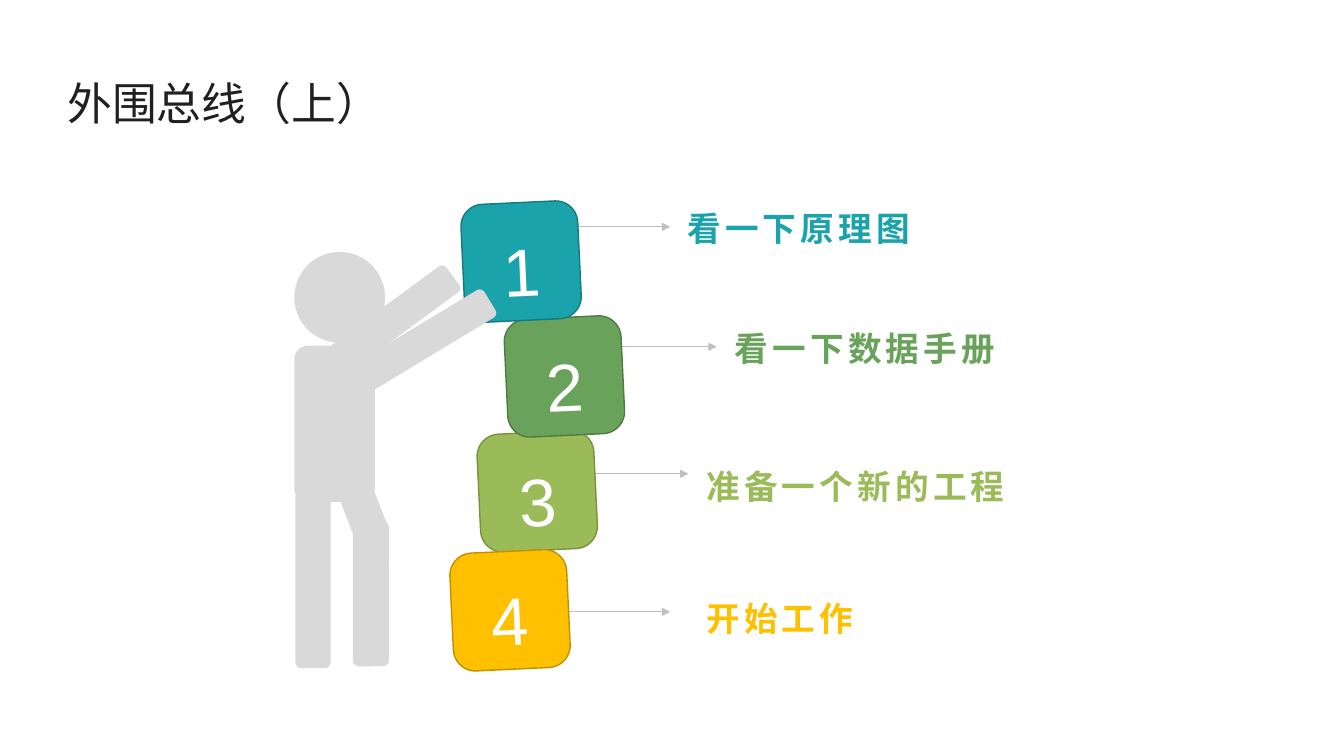
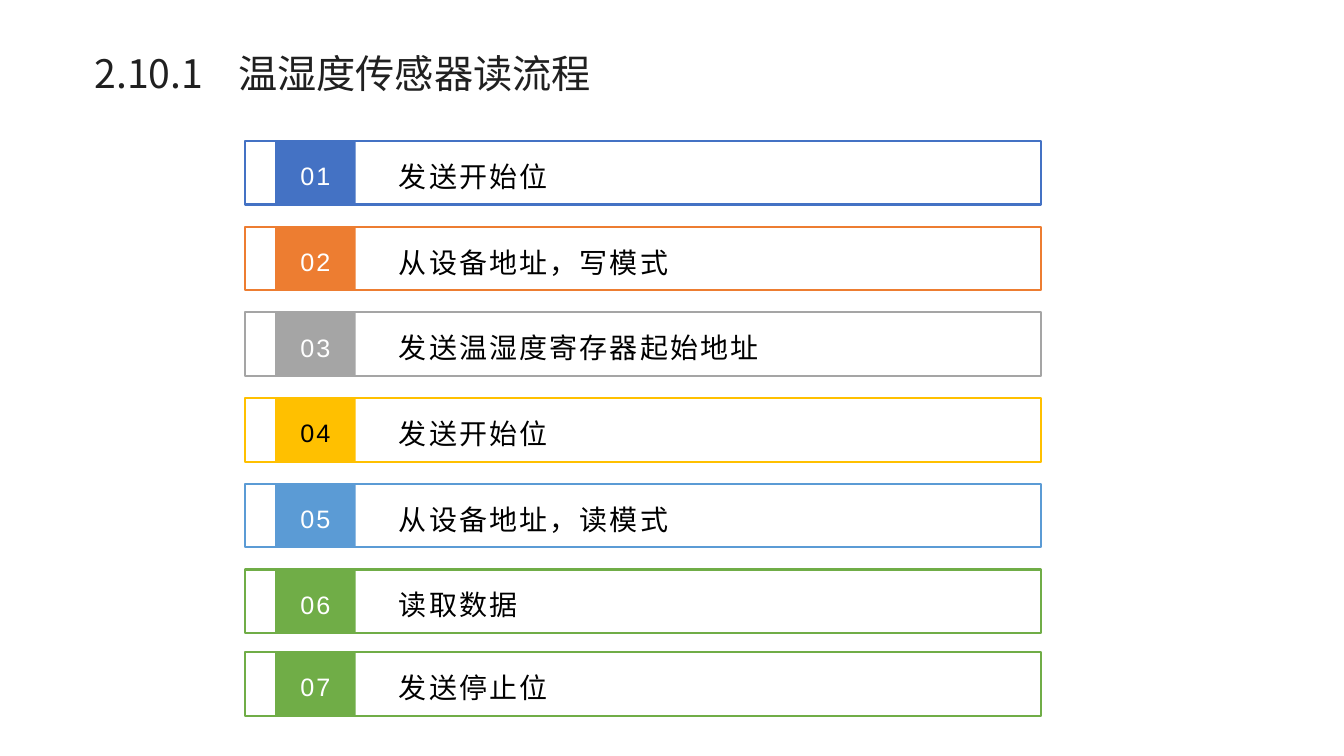
import dataclasses

import lxml.etree
import pptx
import pptx.dml.color
import pptx.enum.shapes
import pptx.enum.text
import pptx.oxml.ns
import pptx.util

SLIDE_WIDTH = pptx.util.Emu(12192000)
SLIDE_HEIGHT = pptx.util.Inches(7.5)
COLUMN = SLIDE_WIDTH / 40
ROW = SLIDE_HEIGHT / 30

COLORS = {
    "title": "202020",
    "black": "000000",
    "white": "FFFFFF",
    "figure": "D9D9D9",
    "arrow": "BFBFBF",
    "teal": "1AA3AA",
    "teal edge": "147A7F",
    "forest": "69A35B",
    "forest edge": "4F7A44",
    "olive": "9BBB59",
    "olive edge": "77933C",
    "gold": "FFC000",
    "gold edge": "BF9000",
    "blue": "4472C4",
    "orange": "ED7D31",
    "gray": "A5A5A5",
    "sky": "5B9BD5",
    "green": "70AD47",
}
CJK_FONT = "Noto Sans CJK SC"
SHAPES = pptx.enum.shapes.MSO_SHAPE
ANCHORS = pptx.enum.text.MSO_ANCHOR
ALIGNMENTS = pptx.enum.text.PP_ALIGN


@dataclasses.dataclass(frozen=True)
class TextStyle:
    size: float
    font: str = "Arial"
    bold: bool = False
    letter_spacing: float = 0
    line_spacing: float = 1.2
    space_before: float = 0
    alignment: int = ALIGNMENTS.LEFT
    anchor: int = ANCHORS.MIDDLE


TITLE = TextStyle(32, font=CJK_FONT, line_spacing=0.9, space_before=10)
SECTION_TITLE = dataclasses.replace(TITLE, size=28)
BLOCK_NUMBER = TextStyle(48, alignment=ALIGNMENTS.CENTER)
BLOCK_LABEL = TextStyle(24, bold=True, letter_spacing=3, anchor=ANCHORS.BOTTOM)
STEP_NUMBER = TextStyle(18, letter_spacing=1.5, alignment=ALIGNMENTS.CENTER)
STEP_TEXT = TextStyle(20, letter_spacing=1.5)

# Figure parts: preset, left, top, width, height, rotation, corner
BODY_PARTS = [
    (SHAPES.ROUNDED_RECTANGLE, 8.76, 13.72, 2.4, 6.2, 0, None),
    (SHAPES.ROUNDED_RECTANGLE, 8.79, 19.48, 1.05, 7.04, 0, None),
    (SHAPES.ROUNDED_RECTANGLE, 10.32, 19.36, 1.05, 2.12, 338.6, 0.3),
    (SHAPES.ROUNDED_RECTANGLE, 10.5, 20.68, 1.08, 5.76, 0, None),
    (SHAPES.ROUNDED_RECTANGLE, 11.16, 9.72, 0.96, 6.08, 53.7, None),
    (SHAPES.OVAL, 8.76, 10, 2.7, 3.6, 0, None),
]
FRONT_ARM = (SHAPES.ROUNDED_RECTANGLE, 12.15, 10.48, 0.96, 6.08, 58.9, None)

# Blocks from back to front: number, label, color,
# block (left, top), arrow (left, top), label (left, top, height)
BLOCKS = [
    ("3", "准备一个新的工程", "olive", (14.25, 17.16), (17.4, 18.8), (20.73, 18, 2.08)),
    ("2", "看一下数据手册", "forest", (15.06, 12.6), (18.24, 13.76), (21.57, 12.96, 1.64)),
    ("1", "看一下原理图", "teal", (13.77, 8.04), (16.86, 9), (20.16, 8.2, 1.64)),
    ("4", "开始工作", "gold", (13.44, 21.88), (16.86, 24.28), (20.73, 23.12, 2.2)),
]
ARROW_LENGTH = 3.09
LABEL_WIDTH = 10.62

STEPS = [
    ("发送开始位", "blue", "white"),
    ("从设备地址，写模式", "orange", "white"),
    ("发送温湿度寄存器起始地址", "gray", "white"),
    ("发送开始位", "gold", "black"),
    ("从设备地址，读模式", "sky", "white"),
    ("读取数据", "green", "white"),
    ("发送停止位", "green", "white"),
]
FIRST_STEP_TOP, STEP_PITCH, LOWEST_STEP_TOP = 5.6, 3.4, 25.88
STEP_HEIGHT = 2.52


def rgb(color):
    return pptx.dml.color.RGBColor.from_string(COLORS[color])


def place(left, top, width, height):
    """Turn grid columns and rows into slide lengths."""
    return (round(left * COLUMN), round(top * ROW),
            round(width * COLUMN), round(height * ROW))


def add_child(parent, tag, **attributes):
    return lxml.etree.SubElement(parent, pptx.oxml.ns.qn(tag), attributes)


def write_text(shape, text, style, color):
    frame = shape.text_frame
    frame.word_wrap = True
    frame.vertical_anchor = style.anchor
    paragraph = frame.paragraphs[0]
    paragraph.alignment = style.alignment
    paragraph.line_spacing = style.line_spacing
    paragraph.space_before = pptx.util.Pt(style.space_before)
    run = paragraph.add_run()
    run.text = text
    run.font.size = pptx.util.Pt(style.size)
    run.font.bold = style.bold
    run.font.color.rgb = rgb(color)
    run.font.name = style.font
    properties = run.font._element
    properties.set("spc", str(round(style.letter_spacing * 100)))
    add_child(properties, "a:ea", typeface=CJK_FONT)
    return paragraph


def add_text(slide, box, text, style, color):
    text_box = slide.shapes.add_textbox(*place(*box))
    paragraph = write_text(text_box, text, style, color)
    return text_box, paragraph


def add_title(slide, box, text, style, tab_columns=None):
    paragraph = add_text(slide, box, text, style, "title")[1]
    if tab_columns:
        tabs = add_child(paragraph._p.get_or_add_pPr(), "a:tabLst")
        add_child(tabs, "a:tab", pos=str(round(tab_columns * COLUMN)), algn="l")


def add_shape(slide, preset, box, fill=None, line=None, line_width=1):
    shape = slide.shapes.add_shape(preset, *place(*box))
    shape.shadow.inherit = False
    if fill:
        shape.fill.solid()
        shape.fill.fore_color.rgb = rgb(fill)
    else:
        shape.fill.background()
    if line:
        shape.line.color.rgb = rgb(line)
        shape.line.width = pptx.util.Pt(line_width)
    else:
        shape.line.fill.background()
    return shape


def add_body_part(slide, preset, left, top, width, height, rotation, corner):
    part = add_shape(slide, preset, (left, top, width, height), "figure")
    part.rotation = rotation
    if corner is not None:
        part.adjustments[0] = corner


def add_arrow(slide, left, top):
    x, y, length, _ = place(left, top, ARROW_LENGTH, 0)
    arrow = slide.shapes.add_connector(
        pptx.enum.shapes.MSO_CONNECTOR.STRAIGHT, x, y, x + length, y)
    arrow.line.color.rgb = rgb("arrow")
    arrow.line.width = pptx.util.Pt(0.5)
    add_child(arrow.line._get_or_add_ln(), "a:tailEnd", type="triangle")
    add_child(arrow._element.spPr, "a:effectLst")


def add_label(slide, left, top, height, text, color):
    label, _ = add_text(slide, (left, top, LABEL_WIDTH, height), text, BLOCK_LABEL, color)
    label.text_frame.margin_bottom = 0


def add_block(slide, left, top, number, color):
    block = add_shape(slide, SHAPES.ROUNDED_RECTANGLE, (left, top, 3.48, 4.68),
                      color, color + " edge")
    block.rotation = 357.3
    block.adjustments[0] = 0.19
    write_text(block, number, BLOCK_NUMBER, "white")


def add_step(slide, index, text, color, number_color):
    top = min(FIRST_STEP_TOP + index * STEP_PITCH, LOWEST_STEP_TOP)
    add_shape(slide, SHAPES.RECTANGLE, (7.29, top, 23.7, STEP_HEIGHT),
              line=color, line_width=1.5)
    badge = add_shape(slide, SHAPES.RECTANGLE, (8.19, top, 2.4, STEP_HEIGHT), color)
    write_text(badge, f"{index + 1:02}", STEP_NUMBER, number_color)
    add_text(slide, (11.58, top - 0.1, 18.42, STEP_HEIGHT + 0.2), text, STEP_TEXT, "black")


def build_block_slide(slide):
    add_title(slide, (1.71, 1.96, 19.53, 4.52), "外围总线（上）", TITLE)
    for part in BODY_PARTS:
        add_body_part(slide, *part)
    for _, label, color, _, arrow_place, label_place in BLOCKS:
        add_arrow(slide, *arrow_place)
        add_label(slide, *label_place, label, color)
    for number, _, color, block_place, _, _ in BLOCKS:
        add_block(slide, *block_place, number, color)
    add_body_part(slide, *FRONT_ARM)


def build_step_slide(slide):
    add_title(slide, (2.52, 1.52, 19.53, 3), "2.10.1\t温湿度传感器读流程",
              SECTION_TITLE, tab_columns=4.28)
    for index, step in enumerate(STEPS):
        add_step(slide, index, *step)


def main():
    presentation = pptx.Presentation()
    presentation.slide_width = SLIDE_WIDTH
    presentation.slide_height = SLIDE_HEIGHT
    blank_layout = presentation.slide_layouts[6]
    for build in (build_block_slide, build_step_slide):
        build(presentation.slides.add_slide(blank_layout))
    presentation.save("out.pptx")


if __name__ == "__main__":
    main()
